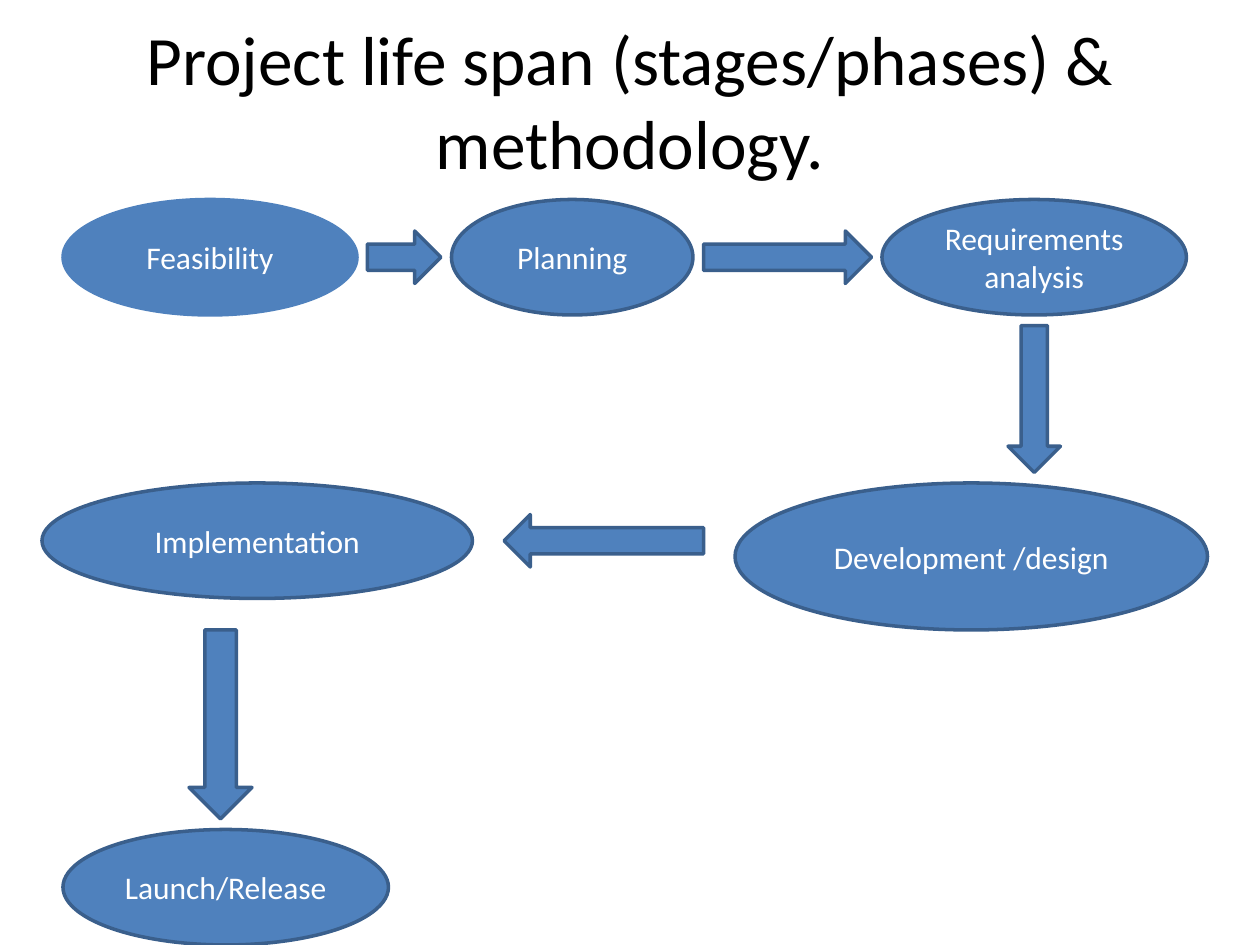
import dataclasses

import pptx
import pptx.dml.color
import pptx.enum.shapes
import pptx.enum.text
import pptx.util

Pt = pptx.util.Pt
KIND = pptx.enum.shapes.MSO_SHAPE


@dataclasses.dataclass(frozen=True)
class Theme:
    fill: str = "4F81BD"
    edge: str = "3A5F8C"
    dark: str = "000000"
    light: str = "FFFFFF"
    font: str = "Calibri"
    title: float = 39.6
    label: float = 18
    line: float = 2


THEME = Theme()

# Stages: text, left, top, width, height, edge colour
STAGES = [
    ("Feasibility", 12, 0, 168, 66, THEME.fill),
    ("Planning", 234, 0, 138, 66, THEME.edge),
    ("Requirements analysis", 480, 0, 174, 66, THEME.edge),
    ("Development /design", 396, 162, 270, 84, THEME.edge),
    ("Implementation", 0, 162, 246, 66, THEME.edge),
    ("Launch/Release", 12, 360, 186, 66, THEME.edge),
]

# Arrows: left, top, length, thickness, turn in degrees
ARROWS = [
    (186, 18, 42, 30, 0),
    (378, 18, 96, 30, 0),
    (525, 99, 84, 30, 90),
    (264, 180, 114, 30, 180),
    (48, 282, 108, 36, 90),
]


def tint(code):
    return pptx.dml.color.RGBColor.from_string(code)


def write(shape, text, size, color):
    frame = shape.text_frame
    frame.word_wrap = True
    frame.vertical_anchor = pptx.enum.text.MSO_ANCHOR.MIDDLE
    para = frame.paragraphs[0]
    para.alignment = pptx.enum.text.PP_ALIGN.CENTER
    run = para.add_run()
    run.text = text
    run.font.name = THEME.font
    run.font.size = Pt(size)
    run.font.color.rgb = tint(color)


def draw(slide, kind, box, edge=THEME.edge):
    shape = slide.shapes.add_shape(kind, *map(Pt, box))
    shape.shadow.inherit = False
    shape.fill.solid()
    shape.fill.fore_color.rgb = tint(THEME.fill)
    shape.line.color.rgb = tint(edge)
    shape.line.width = Pt(THEME.line)
    return shape


def add_title(slide, box):
    shape = slide.shapes.add_textbox(*map(Pt, box))
    write(shape, "Project life span (stages/phases) & methodology.",
          size=THEME.title, color=THEME.dark)


def add_flow(slide, box):
    left, top = box[:2]
    # Stage ellipses
    for text, x, y, wide, high, edge in STAGES:
        stage = draw(slide, KIND.OVAL, (left + x, top + y, wide, high), edge)
        write(stage, text, size=THEME.label, color=THEME.light)
    # Arrows between stages
    for x, y, wide, high, turn in ARROWS:
        arrow = draw(slide, KIND.RIGHT_ARROW, (left + x, top + y, wide, high))
        arrow.rotation = turn


def main():
    deck = pptx.Presentation()
    deck.slide_width, deck.slide_height = Pt(720), Pt(540)
    slide = deck.slides.add_slide(deck.slide_layouts[6])
    add_title(slide, (36, 12, 648, 90))
    add_flow(slide, (24, 114, 666, 426))
    deck.save("out.pptx")


if __name__ == "__main__":
    main()
